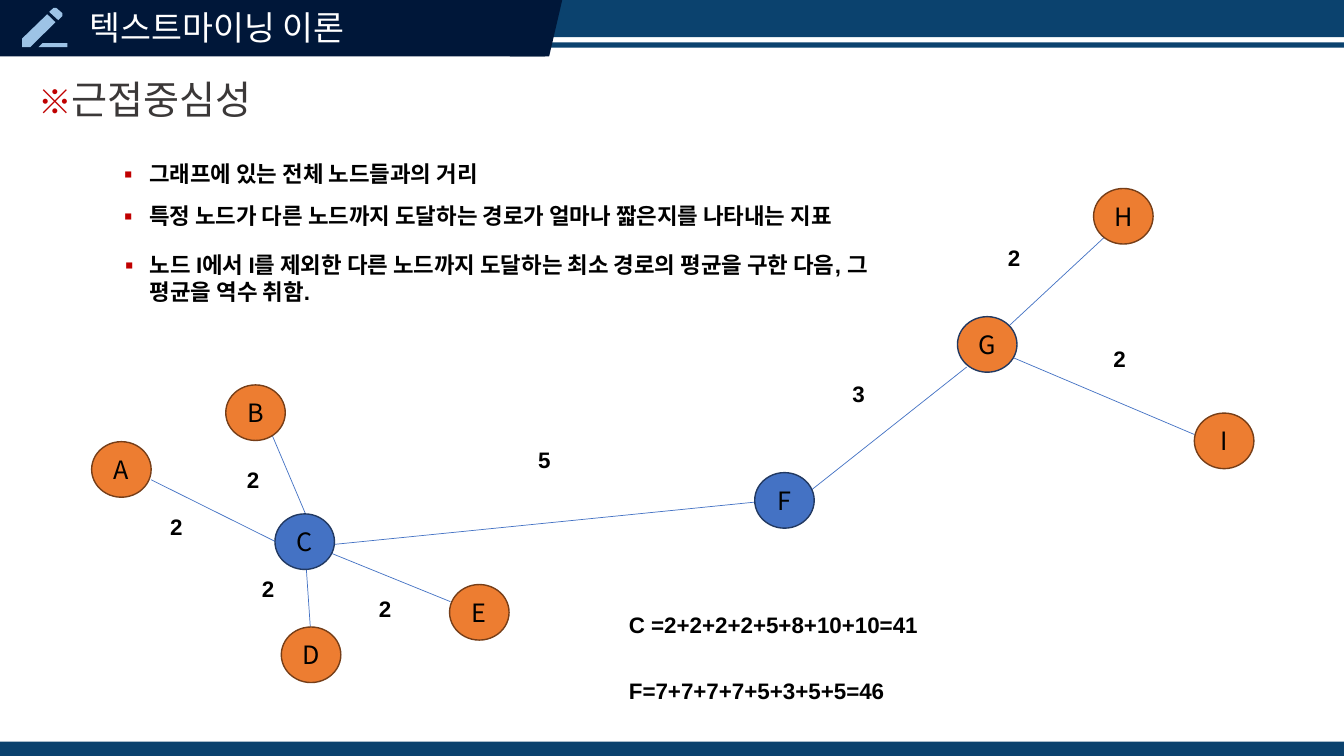
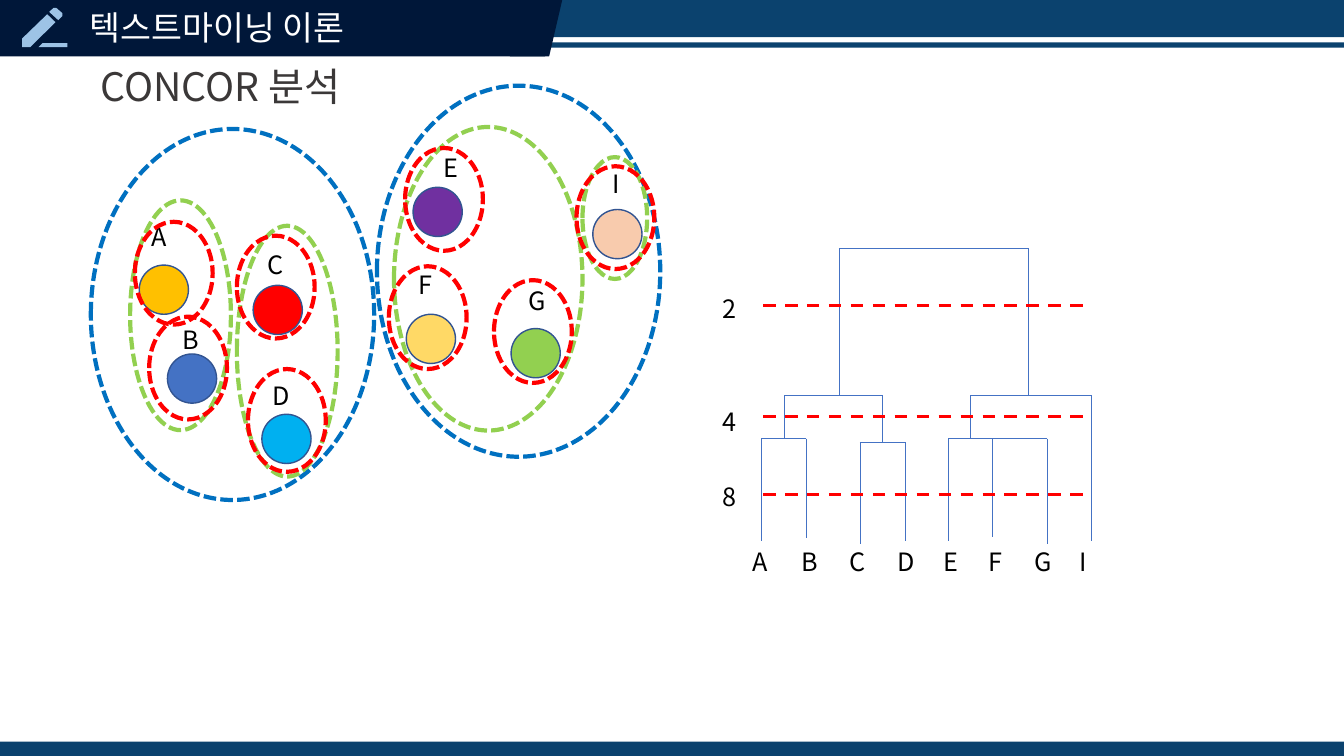
from dataclasses import dataclass

from lxml import etree
from pptx import Presentation
from pptx.dml.color import RGBColor
from pptx.enum.dml import MSO_LINE
from pptx.enum.shapes import MSO_CONNECTOR, MSO_SHAPE
from pptx.enum.text import MSO_ANCHOR, PP_ALIGN
from pptx.oxml.ns import qn
from pptx.shapes.autoshape import Shape
from pptx.slide import Slide
from pptx.util import Cm, Pt

RECTANGLE, ELLIPSE = MSO_SHAPE.RECTANGLE, MSO_SHAPE.OVAL
PARALLELOGRAM = MSO_SHAPE.PARALLELOGRAM
STRAIGHT = MSO_CONNECTOR.STRAIGHT
SHORT_DASH, DASH = MSO_LINE.SQUARE_DOT, MSO_LINE.DASH
CENTER, MIDDLE = PP_ALIGN.CENTER, MSO_ANCHOR.MIDDLE

SANS, ARIAL = "Noto Sans CJK KR", "Arial"
WHITE, BLACK, CHARCOAL = "FFFFFF", "000000", "3B3838"
BAND, NAVY, ICE = "0B426E", "001739", "9DC3E6"
BLUE, ORANGE, CRIMSON = "4472C4", "ED7D31", "C00000"
BLUE_EDGE, ORANGE_EDGE, DOT_EDGE = "223961", "763E18", "325491"
RED, GREEN, OUTER_BLUE = "FF0000", "92D050", "0070C0"

SLIDE_WIDTH, SLIDE_HEIGHT = 33.87, 19.05
LABEL_SIZE = (1, 1)
NODE_SIZE = (1.5, 1.4)
DOT_SIZE = (1.24, 1.24)
RING_SIZE = (1.96, 2.59)
OUTER_SIZE = (7.14, 9.35)
CUT_LEFT, CUT_RIGHT = 19.23, 27.51

Point = tuple[float, float]
Frame = tuple[float, float, float, float]


@dataclass
class Node:
    name: str
    position: Point
    fill: str = ORANGE
    edge: str = ORANGE_EDGE


@dataclass
class Edge:
    start: Point
    end: Point
    weight: str
    label: Point


@dataclass
class Member:
    name: str
    fill: str
    dot: Point
    label: Point
    ring: Point
    leaf_label_left: float


@dataclass
class Merge:
    """A horizontal bar with a leg (x, bottom) hanging from it for each branch."""
    top: float
    legs: list[Point]


@dataclass
class Cut:
    clusters: str
    y: float
    label_top: float


PENCIL = [
    [(0.56, 0.97), (0.56, 1.19), (0.76, 1.19), (1.4, 0.56), (1.19, 0.36)],
    [(1.57, 0.41), (1.57, 0.33), (1.42, 0.2), (1.35, 0.2), (1.24, 0.3), (1.47, 0.51)],
    [(1.07, 1.09), (0.97, 1.19), (1.7, 1.19), (1.7, 1.09)],
]

NODES = [
    Node("A", (2.31, 11.13)),
    Node("B", (5.69, 9.7)),
    Node("C", (6.93, 12.95), BLUE, BLUE_EDGE),
    Node("D", (7.09, 15.8)),
    Node("E", (11.33, 14.73)),
    Node("F", (19.02, 11.91), BLUE, BLUE_EDGE),
    Node("G", (24.13, 7.98), ORANGE, BLUE_EDGE),
    Node("H", (27.56, 4.75)),
    Node("I", (30.1, 10.41)),
]
EDGES = [
    Edge((7.39, 13.87), (3.81, 12.09), "2", (4.04, 12.8)),
    Edge((6.86, 10.97), (7.7, 12.95), "2", (5.97, 11.61)),
    Edge((7.65, 13.31), (7.82, 15.8), "2", (6.35, 14.38)),
    Edge((8.05, 13.82), (11.35, 15.16), "2", (9.3, 14.86)),
    Edge((8.2, 13.74), (19.05, 12.65), "5", (13.31, 11.13)),
    Edge((24.36, 9.25), (20.04, 12.67), "3", (21.23, 9.45)),
    Edge((25.3, 8.33), (27.84, 5.97), "2", (25.15, 6.02)),
    Edge((25.55, 9.02), (30.1, 10.95), "2", (27.81, 8.56)),
]
BULLETS = [
    ("그래프에 있는 전체 노드들과의 거리", (2.72, 3.91, 20.8, 0.86)),
    ("특정 노드가 다른 노드까지 도달하는 경로가 얼마나 짧은지를 나타내는 지표",
     (2.72, 4.98, 20.8, 0.86)),
    ("노드 I에서 I를 제외한 다른 노드까지 도달하는 최소 경로의 평균을 구한 다음, "
     "그 평균을 역수 취함.", (2.74, 6.2, 20.65, 1.63)),
]
FORMULAS = [("C =2+2+2+2+5+8+10+10=41", 15.27), ("F=7+7+7+7+5+3+5+5=46", 16.94)]

MEMBERS = [
    Member("A", "FFC000", (3.51, 6.68), (3.56, 5.44), (3.4, 5.59), 18.72),
    Member("B", BLUE, (4.22, 8.92), (4.34, 8.05), (3.76, 7.98), 19.96),
    Member("C", RED, (6.38, 7.19), (6.5, 6.15), (5.97, 5.94), 21.16),
    Member("D", "00B0F0", (6.6, 10.44), (6.63, 9.45), (6.25, 9.3), 22.38),
    Member("E", "7030A0", (10.41, 4.72), (10.92, 3.71), (10.21, 3.73), 23.52),
    Member("F", "FFD966", (10.24, 7.92), (10.31, 6.65), (9.8, 6.71), 24.66),
    Member("G", GREEN, (12.88, 8.28), (13.08, 7.06), (12.45, 7.06), 25.81),
    Member("I", "F8CBAD", (14.94, 5.28), (15.19, 4.11), (14.53, 4.19), 26.95),
]
OUTER_POSITIONS = [(2.29, 3.25), (9.5, 2.16)]
MIDDLE_RINGS = [
    (3.28, 5.05, 2.54, 5.79),
    (5.97, 5.69, 2.54, 6.32),
    (9.93, 3.2, 4.75, 7.65),
    (14.68, 3.96, 1.63, 3.07),
]
MERGES = [
    Merge(11.05, [(19.18, 13.64), (20.32, 13.56)]),
    Merge(11.15, [(21.67, 13.72), (22.81, 13.64)]),
    Merge(11.05, [(23.9, 13.64), (25.02, 13.54), (26.39, 13.72)]),
    Merge(9.96, [(19.76, 11.05), (22.23, 11.15)]),
    Merge(9.96, [(24.46, 11.05), (27.51, 13.64)]),
    Merge(6.25, [(21.14, 9.96), (25.91, 9.96)]),
]
CUTS = [Cut("2", 7.7, 7.26), Cut("4", 10.49, 10.11), Cut("8", 12.45, 12.01)]


def color(code: str) -> RGBColor:
    return RGBColor.from_string(code)


def add_span(para, text: str, *, size: float = 18, ink: str = BLACK,
             font: str = SANS, bold: bool = False) -> None:
    span = para.add_run()
    span.text = text
    span.font.size, span.font.name, span.font.bold = Pt(size), font, bold
    span.font.color.rgb = color(ink)
    east_asian = etree.SubElement(span.font._element, qn("a:ea"))
    east_asian.set("typeface", SANS)


def add_text(page: Slide, frame: Frame, text: str, **text_format) -> Shape:
    box = page.shapes.add_textbox(*map(Cm, frame))
    box.text_frame.word_wrap = True
    add_span(box.text_frame.paragraphs[0], text, **text_format)
    return box


def add_shape(page: Slide, kind, frame: Frame, fill: str = "", line: str = "",
              width: float = 1, dash=None) -> Shape:
    shape = page.shapes.add_shape(kind, *map(Cm, frame))
    shape.shadow.inherit = False
    if fill:
        shape.fill.solid()
        shape.fill.fore_color.rgb = color(fill)
    else:
        shape.fill.background()
    if line:
        shape.line.color.rgb = color(line)
        shape.line.width = Pt(width)
        shape.line.dash_style = dash
    else:
        shape.line.fill.background()
    return shape


def add_line(page: Slide, start: Point, end: Point, ink: str = BLUE,
             width: float = 0.5, dash=None) -> None:
    line = page.shapes.add_connector(STRAIGHT, *map(Cm, start + end))
    line.line.color.rgb = color(ink)
    line.line.width = Pt(width)
    line.line.dash_style = dash
    etree.SubElement(line._element.spPr, qn("a:effectLst"))


def add_bullet(para) -> None:
    properties = para._p.get_or_add_pPr()
    properties.set("marL", str(Cm(0.79)))
    properties.set("indent", str(Cm(-0.79)))
    bullet_color = etree.SubElement(properties, qn("a:buClr"))
    etree.SubElement(bullet_color, qn("a:srgbClr")).set("val", CRIMSON)
    etree.SubElement(properties, qn("a:buFont")).set("typeface", SANS)
    etree.SubElement(properties, qn("a:buChar")).set("char", "▪")


def add_pencil(page: Slide) -> None:
    outlines = [[(Cm(x), Cm(y)) for x, y in outline] for outline in PENCIL]
    builder = page.shapes.build_freeform(*outlines[0][0])
    builder.add_line_segments(outlines[0][1:])
    for outline in outlines[1:]:
        builder.move_to(*outline[0])
        builder.add_line_segments(outline[1:])
    pencil = builder.convert_to_shape()
    pencil.shadow.inherit = False
    pencil.fill.solid()
    pencil.fill.fore_color.rgb = color(ICE)
    pencil.line.fill.background()


def add_page(deck) -> Slide:
    """Add a blank slide with the bands, the section heading and the pencil."""
    page = deck.slides.add_slide(deck.slide_layouts[6])
    for top, height in [(18.69, 0.36), (1.07, 0.13), (0, 0.94)]:
        add_shape(page, RECTANGLE, (0, top, SLIDE_WIDTH, height), BAND)
    add_shape(page, RECTANGLE, (0, 0, 13.74, 1.42), NAVY)
    add_shape(page, PARALLELOGRAM, (12.85, 0, 1.32, 1.42), NAVY)
    heading = add_text(page, (2.01, 0, 17.07, 1.47), "텍스트마이닝 이론", size=24, ink=WHITE)
    heading.text_frame.vertical_anchor = MIDDLE
    heading.text_frame.paragraphs[0].line_spacing = 0.9
    add_pencil(page)
    return page


def build_closeness_page(deck) -> None:
    page = add_page(deck)
    title = add_text(page, (0.71, 1.78, 6.68, 1.32), "※", size=24, ink=CRIMSON, bold=True)
    add_span(title.text_frame.paragraphs[0], "근접중심성", size=28, ink=CHARCOAL)
    strong = {"size": 16, "font": ARIAL, "bold": True}
    for text, frame in BULLETS:
        box = add_text(page, frame, text, **strong)
        add_bullet(box.text_frame.paragraphs[0])
    for edge in EDGES:
        add_line(page, edge.start, edge.end)
        add_text(page, edge.label + LABEL_SIZE, edge.weight, **strong)
    for node in NODES:
        circle = add_shape(page, ELLIPSE, node.position + NODE_SIZE, node.fill, node.edge)
        circle.text_frame.vertical_anchor = MIDDLE
        para = circle.text_frame.paragraphs[0]
        para.alignment = CENTER
        add_span(para, node.name)
    for formula, top in FORMULAS:
        add_text(page, (15.6, top, 9, 0.94), formula, **strong)


def build_concor_page(deck) -> None:
    page = add_page(deck)
    add_text(page, (2.29, 1.45, 7.67, 1.45), "CONCOR 분석", size=28, ink=CHARCOAL)
    for member in MEMBERS:
        add_shape(page, ELLIPSE, member.dot + DOT_SIZE, member.fill, DOT_EDGE)
        add_text(page, member.label + LABEL_SIZE, member.name)
        add_text(page, (member.leaf_label_left, 13.64) + LABEL_SIZE, member.name)
    rings = [(position + OUTER_SIZE, OUTER_BLUE) for position in OUTER_POSITIONS]
    rings += [(frame, GREEN) for frame in MIDDLE_RINGS]
    rings += [(member.ring + RING_SIZE, RED) for member in MEMBERS]
    for frame, ink in rings:
        add_shape(page, ELLIPSE, frame, line=ink, width=3, dash=SHORT_DASH)
    for merge in MERGES:
        add_line(page, (merge.legs[0][0], merge.top), (merge.legs[-1][0], merge.top))
        for x, bottom in merge.legs:
            add_line(page, (x, merge.top), (x, bottom))
    for cut in CUTS:
        add_line(page, (CUT_LEFT, cut.y), (CUT_RIGHT, cut.y), RED, 2.25, DASH)
        add_text(page, (17.96, cut.label_top) + LABEL_SIZE, cut.clusters)


def main() -> None:
    deck = Presentation()
    deck.slide_width, deck.slide_height = Cm(SLIDE_WIDTH), Cm(SLIDE_HEIGHT)
    build_closeness_page(deck)
    build_concor_page(deck)
    deck.save("out.pptx")


if __name__ == "__main__":
    main()
